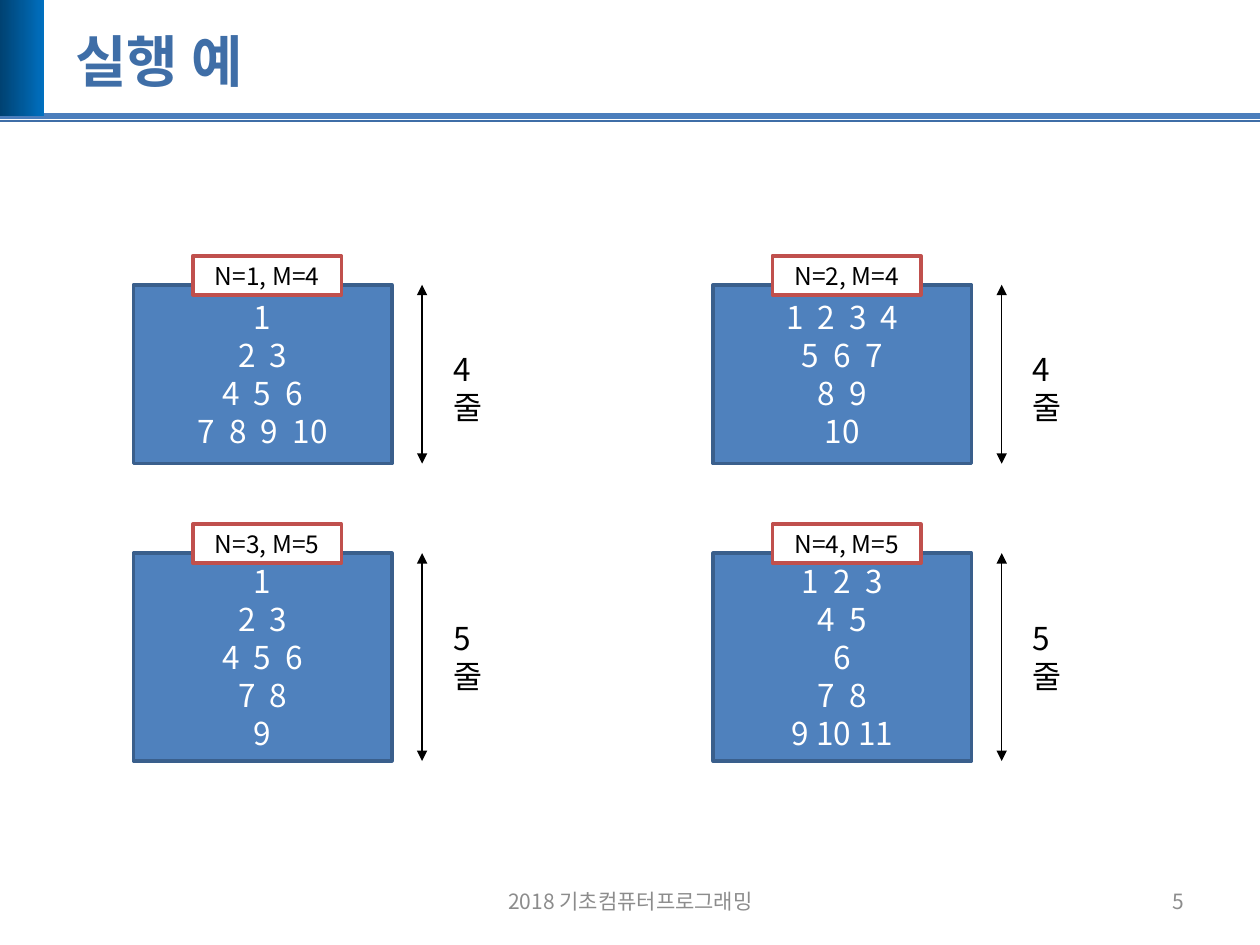
"""Build the slide with four number-pattern examples for different N and M."""
from pptx import Presentation
from pptx.dml.color import RGBColor
from pptx.enum.shapes import MSO_CONNECTOR, MSO_SHAPE
from pptx.enum.text import MSO_ANCHOR, PP_ALIGN
from pptx.oxml.ns import qn
from pptx.util import Inches, Pt
from lxml.etree import SubElement

FONT = "Noto Sans CJK KR"
color = RGBColor.from_string


def write(shape, lines, text_format, align=PP_ALIGN.CENTER, anchor=MSO_ANCHOR.MIDDLE, spacing=None):
    frame = shape.text_frame
    frame.word_wrap = True
    frame.vertical_anchor = anchor
    frame.text = "\n".join(lines)
    for paragraph in frame.paragraphs:
        paragraph.alignment = align
        paragraph.line_spacing = spacing
        font = paragraph.runs[0].font
        font.color.rgb = color(text_format["color"])
        for name, value in text_format["font"].items():
            setattr(font, name, value)
        SubElement(font._element, qn("a:ea"), typeface=FONT)


def draw_line(start, end, line_color, width, arrows=False):
    x1, y1, x2, y2 = map(Inches, (*start, *end))
    connector = slide.shapes.add_connector(MSO_CONNECTOR.STRAIGHT, x1, y1, x2, y2)
    connector.line.color.rgb = color(line_color)
    connector.line.width = Pt(width)
    if arrows:
        for tag in ("a:headEnd", "a:tailEnd"):
            SubElement(connector.line._get_or_add_ln(), qn(tag), type="triangle")
    SubElement(connector._element.spPr, qn("a:effectLst"))


def text_format(size, text_color, bold=False):
    return {"color": text_color, "font": {"name": FONT, "size": Pt(size), "bold": bold}}


presentation = Presentation()
presentation.slide_width, presentation.slide_height = Inches(10), Inches(7.5)
slide = presentation.slides.add_slide(presentation.slide_layouts[6])

for y, line_color, width in [(0.92, "4B7EBC", 3), (0.96, "3F6EA7", 1)]:
    draw_line((0, y), (10, y), line_color, width)

accent = slide.shapes.add_shape(MSO_SHAPE.RECTANGLE, 0, 0, Inches(0.35), Inches(0.92))
accent.shadow.inherit = False
accent.line.fill.background()
accent.fill.gradient()
accent.fill.gradient_angle = 0
for stop, stop_color in zip(accent.fill.gradient_stops, ("004272", "0070C0")):
    stop.color.rgb = color(stop_color)
for stop, position in zip(accent.fill.gradient_stops, (0, 1)):
    stop.position = position

gray = text_format(12, "8C8C8C")
captions = [
    ((0.5, 0.21, 9, 0.54), "실행 예", text_format(32, "3F6EA7", True), PP_ALIGN.LEFT),
    ((3.42, 6.95, 3.17, 0.4), "2018 기초컴퓨터프로그래밍", gray, PP_ALIGN.CENTER),
    ((7.17, 6.95, 2.33, 0.4), "5", gray, PP_ALIGN.RIGHT),
]
for box, text, caption_format, align in captions:
    write(slide.shapes.add_textbox(*map(Inches, box)), [text], caption_format, align)

examples = [
    ("N=1, M=4", ["1", "2  3", "4  5  6", "7  8  9  10"]),
    ("N=2, M=4", ["1  2  3  4", "5  6  7", "8  9", "10"]),
    ("N=3, M=5", ["1", "2  3", "4  5  6", "7  8", "9"]),
    ("N=4, M=5", ["1  2  3", "4  5", "6", "7  8", "9 10 11"]),
]
row_places = [(2.26, 1.42), (4.39, 1.65)]
for index, (heading, rows) in enumerate(examples):
    left = 1.06 + 4.6 * (index % 2)
    top, height = row_places[index // 2]
    panels = [
        ((left, top, 2.05, height), "4F81BD", "3A5F8C", rows, text_format(18, "FFFFFF"), Pt(21.7)),
        ((left + 0.47, top - 0.23, 1.18, 0.31), "FFFFFF", "C0504D", [heading], text_format(14, "000000"), None),
    ]
    for box, fill, line, lines, panel_format, spacing in panels:
        panel = slide.shapes.add_shape(MSO_SHAPE.RECTANGLE, *map(Inches, box))
        panel.shadow.inherit = False
        panel.fill.solid()
        panel.fill.fore_color.rgb = color(fill)
        panel.line.color.rgb = color(line)
        panel.line.width = Pt(2)
        write(panel, lines, panel_format, spacing=spacing)
    draw_line((left + 2.29, top), (left + 2.29, top + height), "000000", 0.75, arrows=True)
    count = slide.shapes.add_textbox(*map(Inches, (left + 2.44, top + 0.47, 0.6, 0.4)))
    count.text_frame.margin_right = Inches(0.2)
    write(count, [f"{len(rows)}줄"], text_format(18, "000000"), PP_ALIGN.LEFT, MSO_ANCHOR.TOP, Pt(21.7))

presentation.save("out.pptx")
